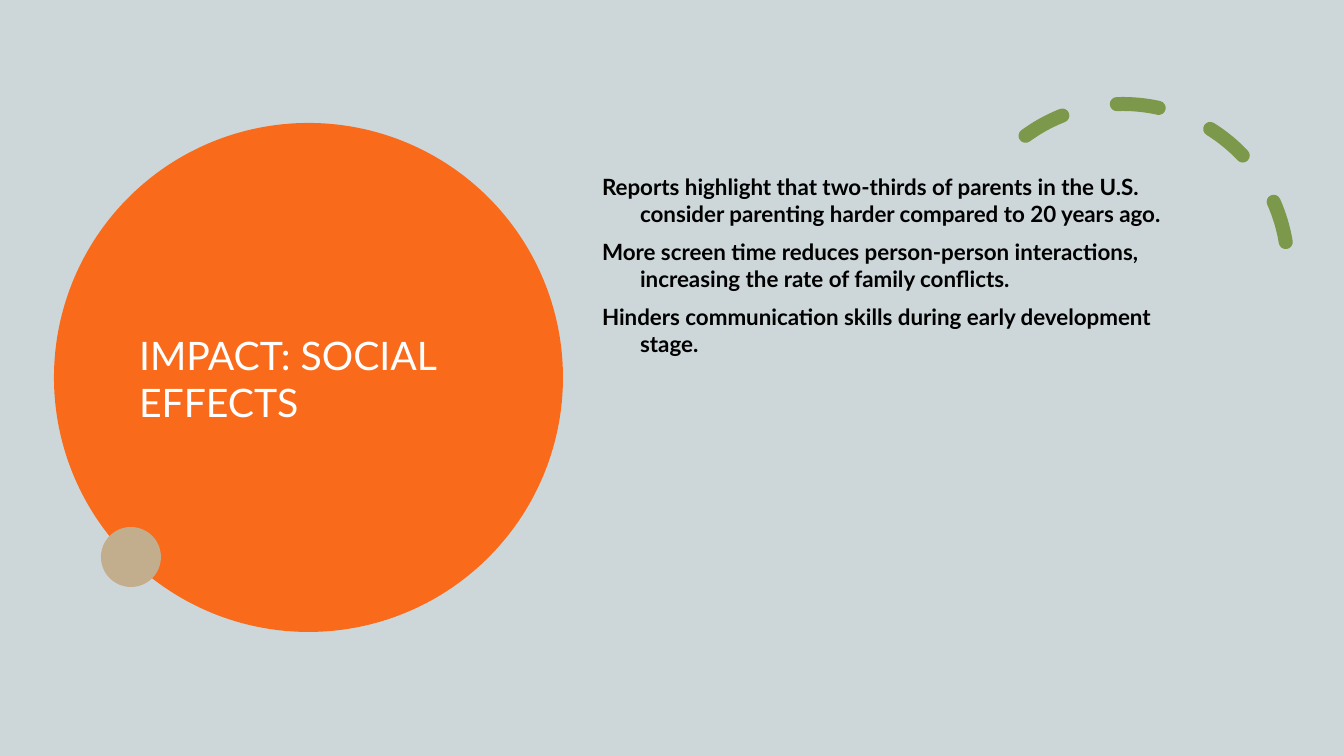
"""Build a slide on the social effects of screen time."""
from lxml.etree import SubElement as Sub
from pptx import Presentation
from pptx.dml.color import RGBColor
from pptx.enum.dml import MSO_LINE as Dash
from pptx.enum.shapes import MSO_SHAPE as Kind
from pptx.enum.text import MSO_ANCHOR as Anchor, MSO_AUTO_SIZE as Fit, PP_ALIGN as Align
from pptx.oxml.ns import qn
from pptx.util import Pt

TITLE = "IMPACT: SOCIAL EFFECTS"
POINTS = [
    "Reports highlight that two-thirds of parents in the U.S. consider parenting "
    "harder compared to 20 years ago.",
    "More screen time reduces person-person interactions, increasing the rate of "
    "family conflicts.",
    "Hinders communication skills during early development stage.",
]
HUES = {"back": "CDD7D9", "disc": "F96A1B", "dot": "C2AD8D",
        "arc": "7C984A", "title": "FFFFFF", "body": "000000"}
BOXES = {"disc": (54, 123, 509, 509), "title": (129, 154, 357, 449),
         "body": (592, 168, 610, 433), "arc": (958, 104, 330, 330),
         "dot": (101, 527, 60, 60)}
INDENT = 38
SCALE = 914400 / 100.8


def emu(px):
    return round(px * SCALE)


def hue(name):
    return RGBColor.from_string(HUES[name])


def add(kind, name):
    shape = slide.shapes.add_shape(kind, *map(emu, BOXES[name]))
    shape.shadow.inherit = False
    return shape


def circle(name):
    shape = add(Kind.OVAL, name)
    shape.fill.solid()
    shape.fill.fore_color.rgb = hue(name)
    shape.line.fill.background()
    return shape


def write(holder, name, lines, size, bold, anchor):
    holder.left, holder.top, holder.width, holder.height = map(emu, BOXES[name])
    frame = holder.text_frame
    frame.text = "\n".join(lines)
    frame.auto_size, frame.word_wrap = Fit.NONE, True
    frame.vertical_anchor = anchor
    for para in frame.paragraphs:
        para.alignment, para.line_spacing = Align.LEFT, 1.0
        font = para.font
        font.name, font.size, font.bold = "Lato", Pt(size), bold
        font.color.rgb = hue(name)
    return frame.paragraphs


deck = Presentation()
deck.slide_width, deck.slide_height = emu(1344), emu(756)
slide = deck.slides.add_slide(deck.slide_layouts[1])
slide.background.fill.solid()
slide.background.fill.fore_color.rgb = hue("back")

disc = circle("disc")
slide.shapes.title._element.addprevious(disc._element)

write(slide.shapes.title, "title", [TITLE], 28, False, Anchor.MIDDLE)
for para in write(slide.placeholders[1], "body", POINTS, 16, True, Anchor.TOP):
    para.space_before = Pt(8)
    props = para._p.get_or_add_pPr()
    props.set("marL", str(emu(INDENT)))
    props.set("indent", str(-emu(INDENT)))
    mark = Sub(props, qn("a:buNone"))
    props.find(qn("a:spcBef")).addnext(mark)

arc = add(Kind.ARC, "arc")
arc.rotation = 330.2
for spot, angle in enumerate((263.6, 29.7)):
    arc.adjustments[spot] = angle * 0.6
arc.fill.background()
arc.line.color.rgb = hue("arc")
arc.line.width = Pt(10)
arc.line.dash_style = Dash.DASH
arc.line._ln.set("cap", "rnd")

circle("dot")
deck.save("out.pptx")
